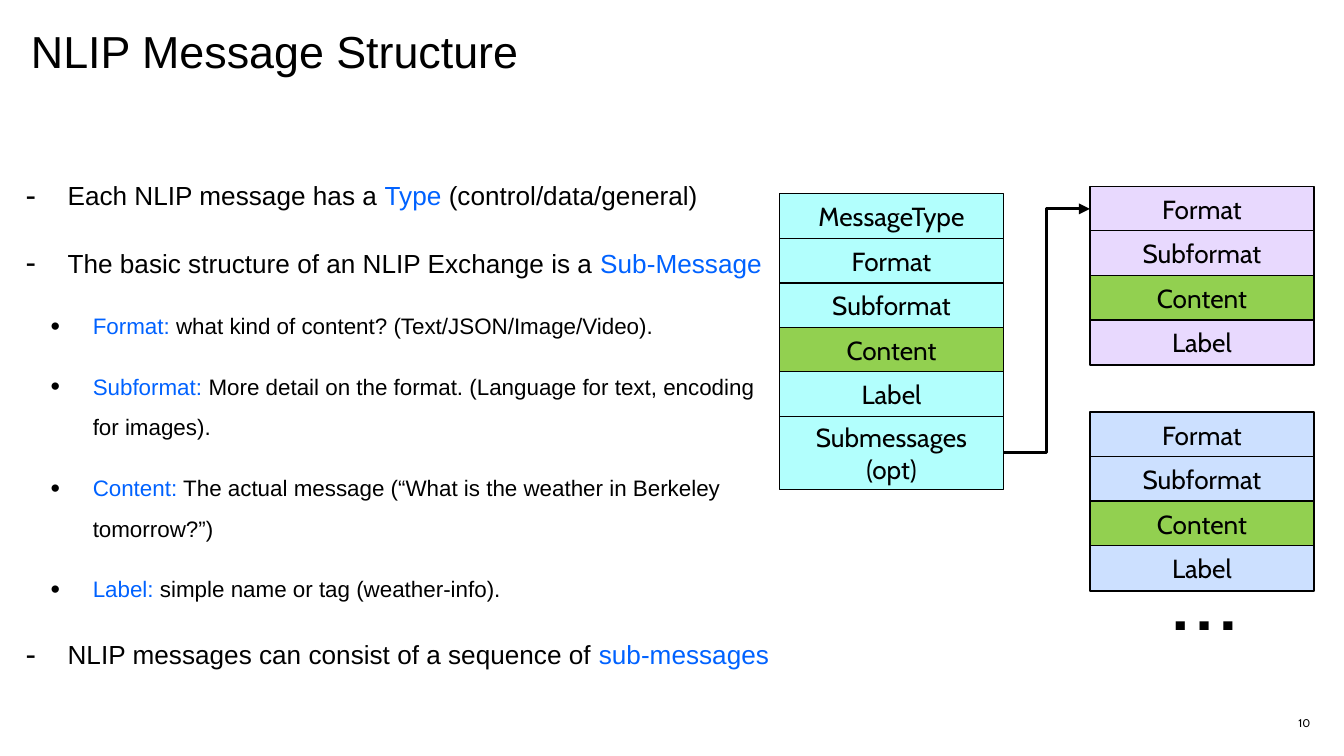
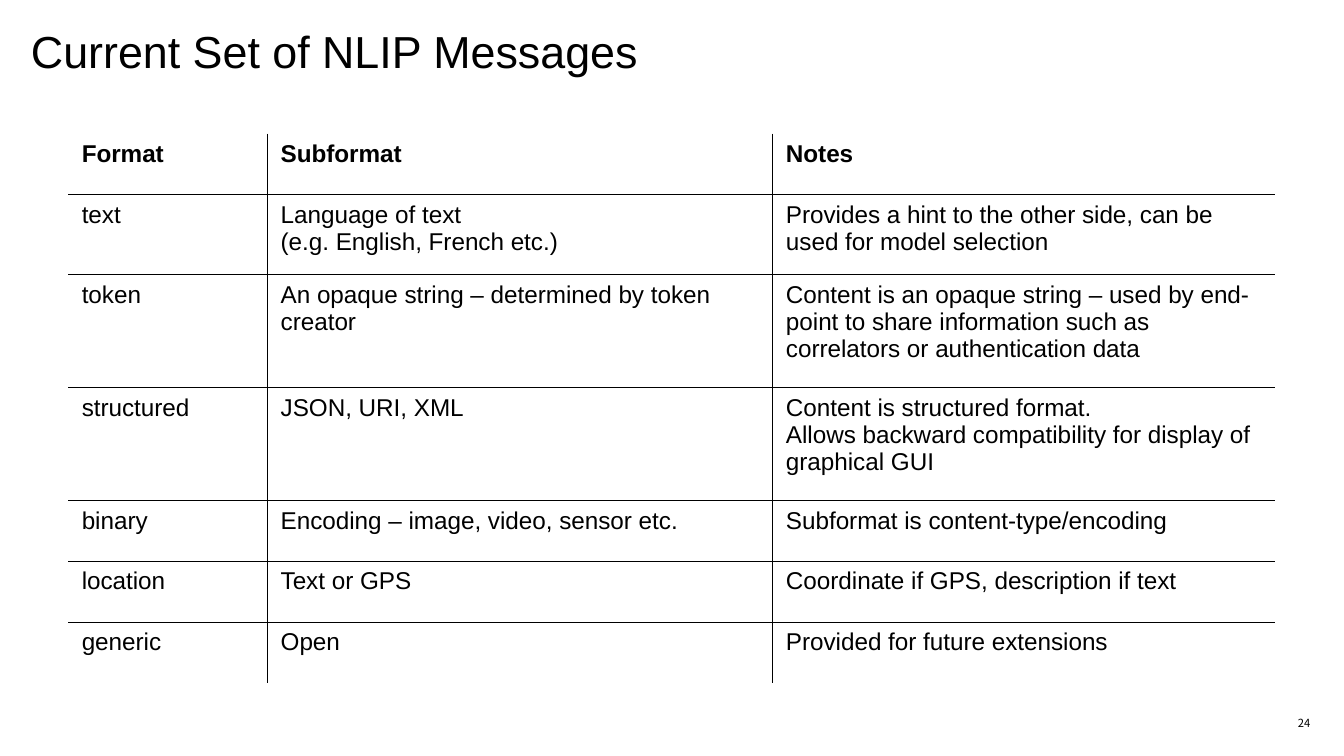
from dataclasses import dataclass

from lxml.etree import SubElement
from pptx import Presentation
from pptx.dml.color import RGBColor
from pptx.enum.shapes import MSO_CONNECTOR, MSO_SHAPE
from pptx.enum.text import MSO_ANCHOR, PP_ALIGN
from pptx.oxml import parse_xml
from pptx.oxml.ns import nsdecls, qn
from pptx.util import Pt


@dataclass(frozen=True)
class Theme:
    ink: str = "000000"
    blue: str = "0062FF"
    aqua: str = "B2FFFD"
    lilac: str = "E8D9FE"
    sky: str = "CCE0FF"
    green: str = "92D050"
    sans: str = "Arial"
    cabin: str = "Cabin"
    noto: str = "Noto Sans CJK JP"
    title: int = 24
    body: int = 14
    sub: int = 12
    cell: int = 13
    page: int = 6
    dots: int = 54


T = Theme()
BOX_W, BOX_H, STEP = 120, 24.3, 23.85
FIELDS = ["Format", "Subformat", "Content", "Label"]

# Each point: level, then (text, colour) runs
POINTS = [
    (0, [("Each NLIP message has a ", T.ink), ("Type", T.blue),
         (" (control/data/general)", T.ink)]),
    (0, [("The basic structure of an NLIP Exchange is a ", T.ink),
         ("Sub-Message", T.blue)]),
    (1, [("Format:", T.blue),
         (" what kind of content? (Text/JSON/Image/Video).", T.ink)]),
    (1, [("Subformat:", T.blue),
         (" More detail on the format. (Language for text, encoding for images).", T.ink)]),
    (1, [("Content:", T.blue),
         (" The actual message (“What is the weather in Berkeley tomorrow?”)", T.ink)]),
    (1, [("Label:", T.blue), (" simple name or tag (weather-info).", T.ink)]),
    (0, [("NLIP messages can consist of a sequence of ", T.ink),
         ("sub-messages", T.blue)]),
]

COLS = [106.6, 270.7, 269.3]
HEIGHTS = [32.6, 42.9, 60.5, 60.5, 32.6, 32.6, 32.6]
ROWS = [
    ("Format", "Subformat", "Notes"),
    ("text", "Language of text\n(e.g. English, French etc.)",
     "Provides a hint to the other side, can be used for model selection"),
    ("token", "An opaque string – determined by token creator",
     "Content is an opaque string – used by end-point to share information "
     "such as correlators or authentication data"),
    ("structured", "JSON, URI, XML",
     "Content is structured format.\n"
     "Allows backward compatibility for display of graphical GUI"),
    ("binary", "Encoding – image, video, sensor etc.",
     "Subformat is content-type/encoding"),
    ("location", "Text or GPS", "Coordinate if GPS, description if text"),
    ("generic", "Open", "Provided for future extensions"),
]


def apply(item, **values):
    for name, value in values.items():
        setattr(item, name, value)


def add_run(para, text, size, font=T.sans, color=T.ink, bold=False):
    run = para.add_run()
    run.text = text
    apply(run.font, size=Pt(size), name=font, bold=bold)
    run.font.color.rgb = RGBColor.from_string(color)


def add_text(slide, x, y, w, h, inset=0):
    frame = slide.shapes.add_textbox(Pt(x), Pt(y), Pt(w), Pt(h)).text_frame
    sides = ("left", "right", "top", "bottom")
    apply(frame, word_wrap=True, **{f"margin_{side}": Pt(inset) for side in sides})
    return frame


def add_page(deck, title, number, font, width, height):
    """Add a blank slide with its title and page number."""
    slide = deck.slides.add_slide(deck.slide_layouts[6])
    para = add_text(slide, 16.6, 15.8, width, height).paragraphs[0]
    para.line_spacing = 0.9
    add_run(para, title, T.title)
    foot = add_text(slide, 558, 380.9, 144, 13)
    foot.vertical_anchor = MSO_ANCHOR.MIDDLE
    foot.paragraphs[0].alignment = PP_ALIGN.RIGHT
    add_run(foot.paragraphs[0], number, T.page, font)
    return slide


def set_bullet(para, mark, left, hang):
    props = para._p.get_or_add_pPr()
    props.set("marL", str(Pt(left)))
    props.set("indent", str(-Pt(hang)))
    color = SubElement(props, qn("a:buClr"))
    SubElement(color, qn("a:srgbClr"), val=T.ink)
    SubElement(props, qn("a:buSzPct"), val="120000")
    SubElement(props, qn("a:buFont"), typeface=T.sans)
    SubElement(props, qn("a:buChar"), char=mark)


def add_points(slide):
    frame = add_text(slide, 13.7, 87.8, 400.4, 269.3)
    for i, (level, runs) in enumerate(POINTS):
        para = frame.add_paragraph() if i else frame.paragraphs[0]
        apply(para, level=level, line_spacing=1.5, space_before=Pt(11))
        mark, left, size = [("-", 22.5, T.body), ("•", 36, T.sub)][level]
        set_bullet(para, mark, left, 22.5)
        for text, color in runs:
            add_run(para, text, size, color=color)


def add_box(slide, x, y, h, text, fill):
    box = slide.shapes.add_shape(
        MSO_SHAPE.RECTANGLE, Pt(x), Pt(y), Pt(BOX_W), Pt(h))
    box.shadow.inherit = False
    box.fill.solid()
    box.fill.fore_color.rgb = RGBColor.from_string(fill)
    box.line.color.rgb = RGBColor.from_string(T.ink)
    box.line.width = Pt(0.75)
    apply(box.text_frame, word_wrap=True, vertical_anchor=MSO_ANCHOR.MIDDLE)
    para = box.text_frame.paragraphs[0]
    para.alignment = PP_ALIGN.CENTER
    add_run(para, text, T.body, T.cabin)
    return box


def add_stack(slide, x, y, fields, fill):
    """Stack one box per field, with the content field in green."""
    return [add_box(slide, x, y + i * STEP, BOX_H, field,
                    T.green if field == "Content" else fill)
            for i, field in enumerate(fields)]


def add_arrow(slide, start, end):
    link = slide.shapes.add_connector(MSO_CONNECTOR.ELBOW, 0, 0, 0, 0)
    link.begin_connect(start, 3)
    link.end_connect(end, 1)
    link.line.color.rgb = RGBColor.from_string(T.ink)
    link.line.width = Pt(1.5)
    SubElement(link.line._get_or_add_ln(), qn("a:tailEnd"), type="triangle")
    SubElement(link._element.spPr, qn("a:effectLst"))


def set_edges(cell, drawn):
    """Draw the named cell edges (L, R, T, B) and clear the others."""
    props = cell._tc.get_or_add_tcPr()
    for i, side in enumerate("LRTB"):
        fill = (f'<a:solidFill><a:srgbClr val="{T.ink}"/></a:solidFill>'
                if side in drawn else "<a:noFill/>")
        props.insert(i, parse_xml(
            f'<a:ln{side} {nsdecls("a")} w="{Pt(0.25)}">{fill}</a:ln{side}>'))


def add_grid(slide):
    grid = slide.shapes.add_table(
        len(ROWS), len(COLS), Pt(36.6), Pt(71.6),
        Pt(sum(COLS)), Pt(sum(HEIGHTS))).table
    apply(grid, first_row=False, horz_banding=False)
    for col, width in zip(grid.columns, COLS):
        col.width = Pt(width)
    for r, texts in enumerate(ROWS):
        grid.rows[r].height = Pt(HEIGHTS[r])
        for c, text in enumerate(texts):
            cell = grid.cell(r, c)
            cell.fill.background()
            inner = {"L": c > 0, "R": c < len(COLS) - 1,
                     "T": r > 0, "B": r < len(ROWS) - 1}
            set_edges(cell, [side for side, on in inner.items() if on])
            frame = cell.text_frame
            for i, line in enumerate(text.split("\n")):
                para = frame.add_paragraph() if i else frame.paragraphs[0]
                add_run(para, line, T.cell, bold=r == 0)


def draw_structure(deck):
    slide = add_page(deck, "NLIP Message Structure", "10", T.cabin, 326.2, 63.4)
    add_points(slide)
    left, right, top = 417.6, 583.9, 103.8
    main_part = ["MessageType"] + FIELDS
    add_stack(slide, left, top, main_part, T.aqua)
    more = add_box(slide, left, top + len(main_part) * STEP, 39.2,
                   "Submessages (opt)", T.aqua)
    first = add_stack(slide, right, 99.8, FIELDS, T.lilac)
    add_stack(slide, right, 220.8, FIELDS, T.sky)
    add_arrow(slide, more, first[0])
    dots = add_text(slide, 619.9, 280.1, 64.1, 72.7)
    apply(dots, margin_left=Pt(7.2), margin_right=Pt(7.2),
          margin_top=Pt(3.6), margin_bottom=Pt(3.6))
    add_run(dots.paragraphs[0], "…", T.dots, T.cabin)


def draw_formats(deck):
    slide = add_page(deck, "Current Set of NLIP Messages", "24", T.noto, 443.5, 26)
    add_grid(slide)


def main():
    deck = Presentation()
    apply(deck, slide_width=Pt(720), slide_height=Pt(405))
    draw_structure(deck)
    draw_formats(deck)
    deck.save("out.pptx")


if __name__ == "__main__":
    main()
